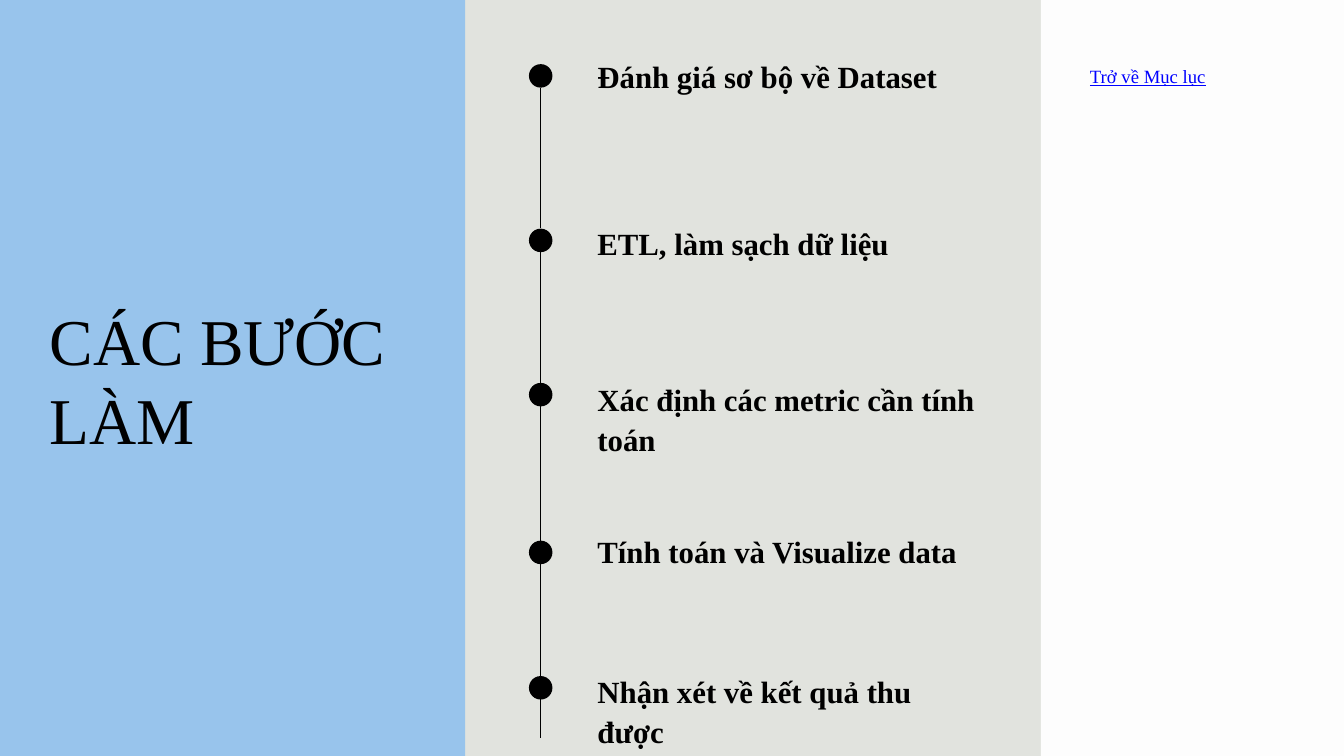
from lxml.etree import SubElement
from pptx import Presentation
from pptx.dml.color import RGBColor as RGB
from pptx.enum.shapes import MSO_CONNECTOR as LINK, MSO_SHAPE as SHAPE
from pptx.enum.text import MSO_AUTO_SIZE as AUTO
from pptx.oxml.ns import qn
from pptx.util import Inches, Pt

HUES = {"back": "E1E3DE", "blue": "98C4EC", "pale": "FDFDFD",
        "ink": "000000", "link": "0000FF"}
WIDE, HIGH = 20, 11.25
FACE = "Times New Roman"
TITLE = {"size": Pt(70)}
STEP = {"size": Pt(33), "bold": True}
BACK = {"size": Pt(20), "underline": True}

AXIS, DOT = 40.23, 0.35
EDGE = DOT / HIGH * 50
ROW = 5.2
# wording, rows of text, centre of dot, top of text, end of line below
STEPS = [
    ("Đánh giá sơ bộ về Dataset", 1, 10.04, 7.29, 30.22),
    ("ETL, làm sạch dữ liệu", 1, 31.8, 29.33, 52),
    ("Xác định các metric cần tính toán", 2, 52.2, 49.96, 71.56),
    ("Tính toán và Visualize data", 1, 73.07, 70.04, 97.6),
    ("Nhận xét về kết quả thu được", 2, 90.98, 88.62, None),
]


def hue(name):
    return RGB.from_string(HUES[name])


def across(share):
    """Length for a percentage of the slide's width."""
    return Inches(WIDE * share / 100)


def down(share):
    """Length for a percentage of the slide's height."""
    return Inches(HIGH * share / 100)


class Deck:
    """Holds the style and the current slide; places are percentages."""

    def __init__(self):
        self.show = Presentation()
        self.show.slide_width = Inches(WIDE)
        self.show.slide_height = Inches(HIGH)
        self.slide = self.show.slides.add_slide(self.show.slide_layouts[6])
        fill = self.slide.background.fill
        fill.solid()
        fill.fore_color.rgb = hue("back")

    def shape(self, kind, x, y, w, h, tint):
        item = self.slide.shapes.add_shape(
            kind, across(x), down(y), across(w), down(h))
        item.shadow.inherit = False
        item.fill.solid()
        item.fill.fore_color.rgb = hue(tint)
        item.line.fill.background()

    def panel(self, x, w, tint):
        self.shape(SHAPE.RECTANGLE, x, 0, w, 100, tint)

    def dot(self, y):
        w = DOT / WIDE * 100
        self.shape(SHAPE.OVAL, AXIS - w / 2, y - EDGE, w, 2 * EDGE, "ink")

    def line(self, top, end):
        item = self.slide.shapes.add_connector(
            LINK.STRAIGHT, across(AXIS), down(top), across(AXIS), down(end))
        item.line.color.rgb = hue("ink")
        item.line.width = Pt(1.5)
        SubElement(item._element.spPr, qn("a:effectLst"))

    def text(self, words, x, y, w, h, look, lead, tint="ink"):
        box = self.slide.shapes.add_textbox(
            across(x), down(y), across(w), down(h))
        frame = box.text_frame
        frame.word_wrap = True
        frame.auto_size = AUTO.SHAPE_TO_FIT_TEXT
        for side in ("left", "top", "right", "bottom"):
            setattr(frame, f"margin_{side}", 0)
        para = frame.paragraphs[0]
        para.line_spacing = Pt(lead)
        run = para.add_run()
        run.text = words
        for key, value in {"name": FACE, **look}.items():
            setattr(run.font, key, value)
        run.font.color.rgb = hue(tint)


def main():
    deck = Deck()
    deck.panel(0, 34.6, "blue")
    deck.panel(77.45, 22.55, "pale")
    for words, rows, y, top, end in STEPS:
        if end:
            deck.line(y + EDGE, end)
        deck.dot(y)
        deck.text(words, 44.45, top, 28.25, rows * ROW, STEP, 42.9)
    deck.text("CÁC BƯỚC LÀM", 3.7, 39.73, 26.55, 20.36, TITLE, 84)
    deck.text("Trở về Mục lục", 81.1, 8.27, 8.85, 3.02, BACK, 26, "link")
    deck.show.save("out.pptx")


if __name__ == "__main__":
    main()
